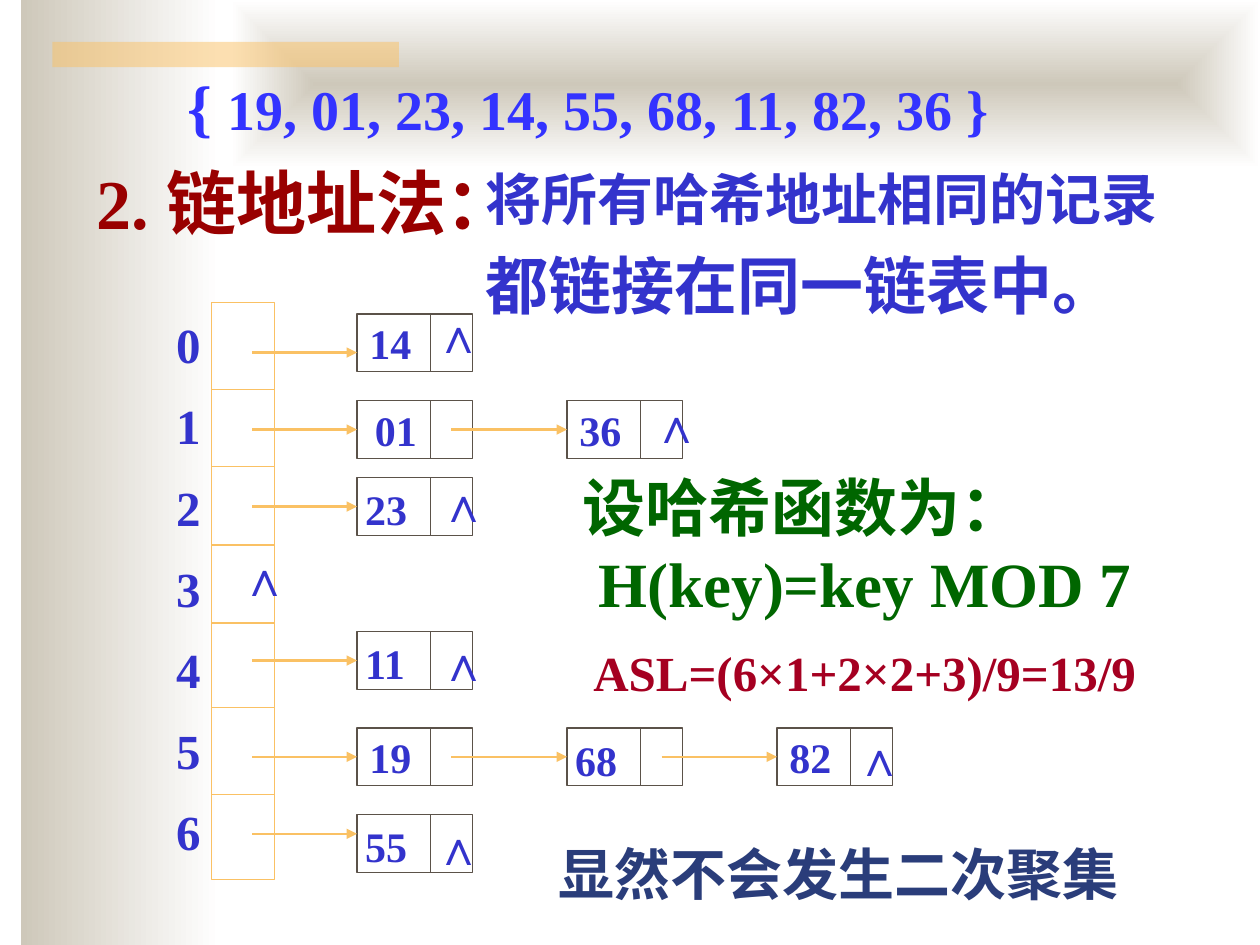
from dataclasses import dataclass
from typing import Optional

from lxml import etree
from pptx import Presentation
from pptx.dml.color import RGBColor
from pptx.enum.shapes import MSO_CONNECTOR, MSO_SHAPE
from pptx.enum.text import MSO_ANCHOR, MSO_AUTO_SIZE, PP_ALIGN
from pptx.oxml.ns import qn
from pptx.util import Pt

STRAIGHT = MSO_CONNECTOR.STRAIGHT
RECTANGLE = MSO_SHAPE.RECTANGLE
TOP, MIDDLE, BOTTOM = MSO_ANCHOR.TOP, MSO_ANCHOR.MIDDLE, MSO_ANCHOR.BOTTOM
LEFT = PP_ALIGN.LEFT
GROW, FIXED = MSO_AUTO_SIZE.SHAPE_TO_FIT_TEXT, MSO_AUTO_SIZE.NONE
LEFT_SIDE = 1


@dataclass(frozen=True)
class Theme:
    font: str = "Times New Roman"
    taupe: str = "CEC8BA"
    white: str = "FFFFFF"
    gold: str = "FAC164"
    outline: str = "5B5249"
    key: str = "3333CC"
    keys: str = "3333FF"
    title: str = "990000"
    formula: str = "A50021"
    function: str = "006600"
    conclusion: str = "2A3D7A"
    title_size: int = 40
    large: int = 36
    medium: int = 32
    label: int = 28
    node: int = 24


@dataclass(frozen=True)
class Node:
    key: str
    column: int
    top: float
    arrow_y: Optional[float] = None
    raised: bool = False
    indent: float = 0


THEME = Theme()
NODE_WIDTH, NODE_HEIGHT, KEY_WIDTH = 66, 33, 42
FIRST_NODE, NODE_STEP = 204, 120
INSET = 7.2

NODES = (
    Node("14", 0, 179.4, arrow_y=201.5),
    Node("01", 0, 229, indent=3),
    Node("36", 1, 229),
    Node("23", 0, 273, raised=True),
    Node("11", 0, 361, raised=True),
    Node("19", 0, 416),
    Node("68", 1, 416, raised=True),
    Node("82", 2, 416),
    Node("55", 0, 465.6, arrow_y=476.5, raised=True),
)
NULL_MARKS = ((241, 170.6), (366, 221.8), (244, 267), (130.4, 309.6),
              (244, 358), (481.7, 412), (241, 463))
TABLE_LEFT, TABLE_TOP, TABLE_WIDTH, TABLE_HEIGHT = 121, 172.8, 36, 330
TABLE_RULES = (222.5, 266.5, 311.5, 356, 404.5, 454)


def color_of(value: str) -> RGBColor:
    return RGBColor.from_string(value)


def add_rectangle(page, left: float, top: float, width: float, height: float,
                  line: Optional[str] = None):
    shape = page.shapes.add_shape(RECTANGLE, Pt(left), Pt(top), Pt(width), Pt(height))
    shape.shadow.inherit = False
    shape.fill.background()
    if line:
        shape.line.color.rgb = color_of(line)
        shape.line.width = Pt(0.75)
    else:
        shape.line.fill.background()
    return shape


def fade(shape) -> None:
    shape.fill.gradient()
    shape.fill.gradient_angle = 0
    for stop, color, position in zip(shape.fill.gradient_stops,
                                     (THEME.taupe, THEME.white), (0, 1)):
        stop.color.rgb = color_of(color)
        stop.position = position


def fade_from_center(shape) -> None:
    fade(shape)
    gradient = shape.element.spPr.find(qn("a:gradFill"))
    gradient.remove(gradient.find(qn("a:lin")))
    center = etree.SubElement(gradient, qn("a:path"), path="shape")
    etree.SubElement(center, qn("a:fillToRect"), l="50000", t="50000", r="50000", b="50000")


def add_line(page, start: tuple, end: tuple, color: str, width: float = 0.75,
             arrow: bool = False):
    line = page.shapes.add_connector(STRAIGHT, *(Pt(value) for value in start + end))
    line.line.color.rgb = color_of(color)
    line.line.width = Pt(width)
    if arrow:
        etree.SubElement(line.line._get_or_add_ln(), qn("a:tailEnd"), type="triangle")
    etree.SubElement(line.element.spPr, qn("a:effectLst"))
    return line


def write(para, text: str, *, size: float, color: str) -> None:
    span = para.add_run()
    span.text = text
    span.font.name = THEME.font
    span.font.size = Pt(size)
    span.font.bold = True
    span.font.color.rgb = color_of(color)


def add_text(page, left: float, top: float, width: float, height: float, *lines: str,
             size: float, color: str, wrap: bool = True, indent: float = 0,
             anchor=TOP, auto_size=GROW, spacing: float = 1, before: float = 0):
    box = page.shapes.add_textbox(Pt(left), Pt(top), Pt(width), Pt(height))
    frame = box.text_frame
    frame.word_wrap = wrap
    frame.auto_size = auto_size
    frame.vertical_anchor = anchor
    frame.margin_left = Pt(INSET + indent)
    for index, line in enumerate(lines):
        para = frame.add_paragraph() if index else frame.paragraphs[0]
        para.line_spacing = spacing
        if index and before:
            para.space_before = Pt(before)
        write(para, line, size=size, color=color)
    return frame


def add_node(page, node: Node) -> None:
    left = FIRST_NODE + node.column * NODE_STEP
    middle = node.top + NODE_HEIGHT / 2
    box = add_rectangle(page, left, node.top, NODE_WIDTH, NODE_HEIGHT, THEME.outline)
    divider = left + KEY_WIDTH
    add_line(page, (divider, node.top), (divider, node.top + NODE_HEIGHT), THEME.outline)
    if node.raised:
        add_text(page, left - 2.4, node.top, 38.4, 36, node.key,
                 size=THEME.node, color=THEME.key, wrap=False)
    else:
        frame = box.text_frame
        frame.word_wrap = False
        frame.vertical_anchor = MIDDLE
        frame.margin_left = Pt(INSET + node.indent)
        frame.paragraphs[0].alignment = LEFT
        write(frame.paragraphs[0], node.key, size=THEME.node, color=THEME.key)
    start = left - (66 if node.column else 60)
    arrow_y = node.arrow_y or middle
    arrow = add_line(page, (start, arrow_y), (left, arrow_y), THEME.gold, 1.5, arrow=True)
    if node.arrow_y is None:
        arrow.end_connect(box, LEFT_SIDE)


def add_background(page) -> None:
    fade(add_rectangle(page, 12, 0, 114, 540))
    fade_from_center(add_rectangle(page, 132, 0, 588, 96))
    bar = add_rectangle(page, 30, 24, 198, 14.4)
    bar.fill.solid()
    bar.fill.fore_color.rgb = color_of(THEME.gold)
    color = bar.element.spPr.find(qn("a:solidFill")).find(qn("a:srgbClr"))
    etree.SubElement(color, qn("a:alpha"), val="50000")


def add_hash_table(page) -> None:
    add_text(page, 93.6, 176.4, 28, 323.3, *(str(slot) for slot in range(7)),
             size=THEME.label, color=THEME.key, before=12.7)
    add_rectangle(page, TABLE_LEFT, TABLE_TOP, TABLE_WIDTH, TABLE_HEIGHT, THEME.gold)
    for rule in TABLE_RULES:
        add_line(page, (TABLE_LEFT, rule), (TABLE_LEFT + TABLE_WIDTH, rule), THEME.gold)


def main() -> None:
    deck = Presentation()
    deck.slide_width, deck.slide_height = Pt(720), Pt(540)
    page = deck.slides.add_slide(deck.slide_layouts[6])
    add_background(page)
    add_text(page, 240, 82.8, 456, 110.9, size=THEME.medium, color=THEME.key)
    explanation = page.shapes[-1].text_frame
    explanation.margin_left = Pt(INSET + 30)
    first, second = explanation.paragraphs[0], explanation.add_paragraph()
    first.line_spacing = second.line_spacing = 1.2
    write(first, "将所有哈希地址相同的记录", size=THEME.medium, color=THEME.key)
    write(second, "都链接在同一链表中。", size=THEME.large, color=THEME.key)
    add_hash_table(page)
    for node in NODES:
        add_node(page, node)
    for left, top in NULL_MARKS:
        add_text(page, left, top, 31.7, 41, "∧", size=THEME.label, color=THEME.key, wrap=False)
    add_text(page, 332, 363.6, 349.2, 41, "ASL=(6×1+2×2+3)/9=13/9",
             size=THEME.label, color=THEME.formula, wrap=False)
    function = add_text(page, 326, 264.2, 648, 93.6, "设哈希函数为：",
                        size=THEME.large, color=THEME.function)
    rule = function.add_paragraph()
    rule._p.get_or_add_pPr().set("marL", str(Pt(9)))
    write(rule, "H(key)=key MOD 7", size=THEME.large, color=THEME.function)
    add_text(page, 312, 468.7, 390, 53.3, "显然不会发生二次聚集",
             size=THEME.medium, color=THEME.conclusion, spacing=1.2)
    add_text(page, 48, 76.3, 612, 66.2, "2. 链地址法：", size=THEME.title_size,
             color=THEME.title, anchor=BOTTOM, auto_size=FIXED)
    keys = add_text(page, 36.7, 31, 537, 54.7, "{ ", size=THEME.large, color=THEME.keys,
                    wrap=False, indent=63, spacing=1.1)
    write(keys.paragraphs[0], "19, 01, 23, 14, 55, 68, 11, 82, 36 }",
          size=THEME.medium, color=THEME.keys)
    deck.save("out.pptx")


if __name__ == "__main__":
    main()
